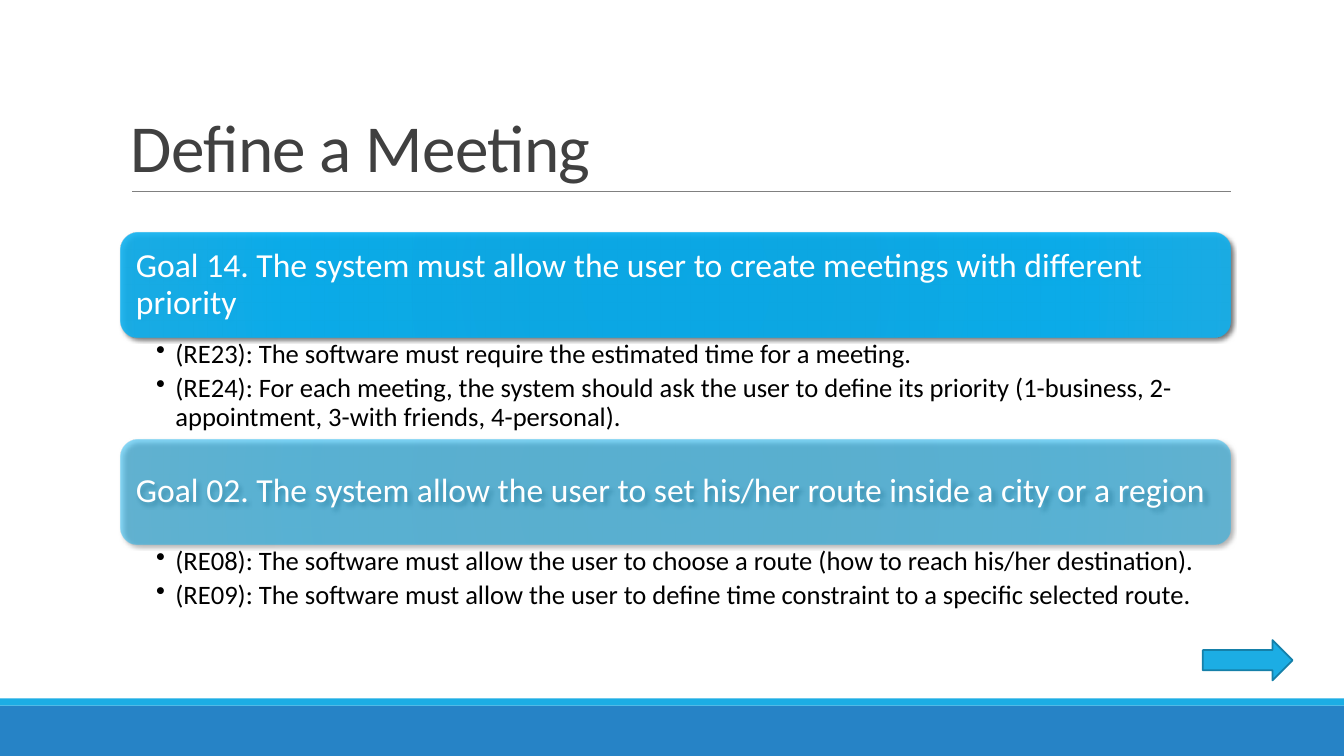
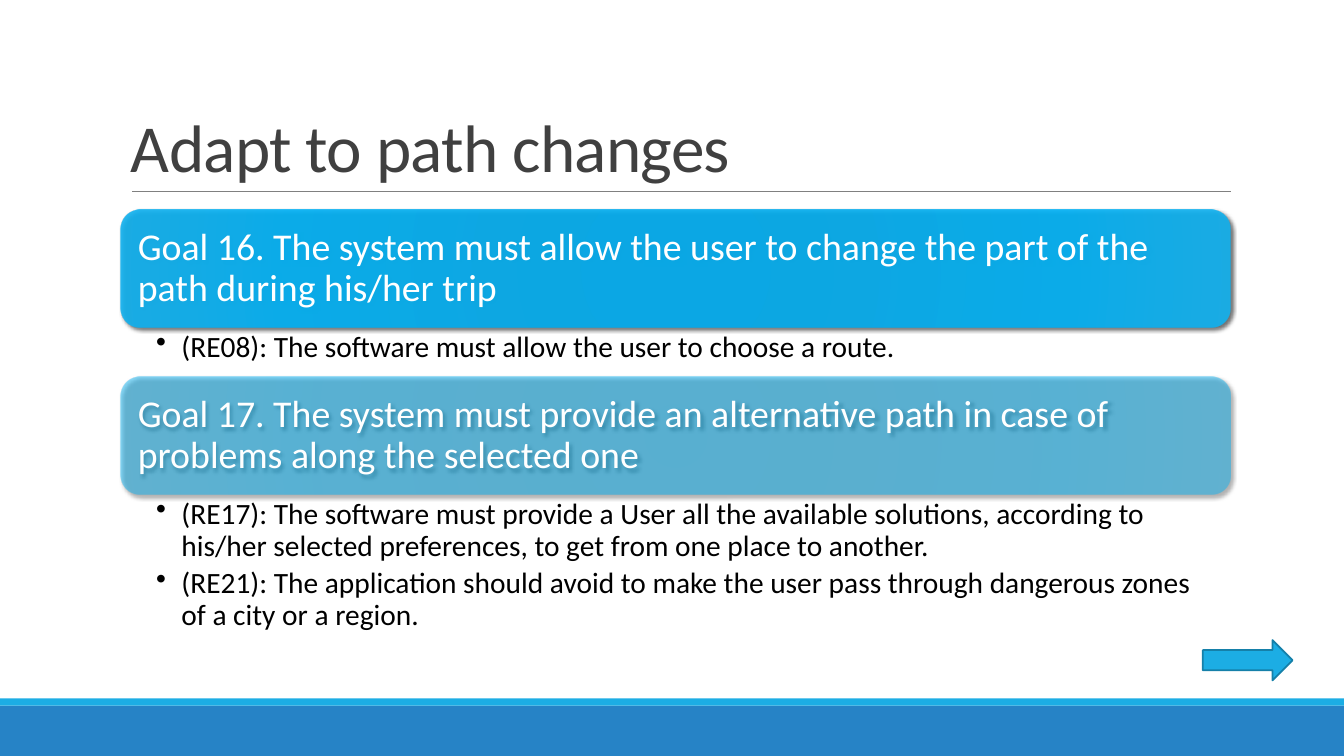
import pptx
import pptx.dml.color
import pptx.enum.shapes
import pptx.enum.text
import pptx.oxml
import pptx.oxml.ns
import pptx.util

Inches = pptx.util.Inches
Pt = pptx.util.Pt
RGBColor = pptx.dml.color.RGBColor
SHAPE = pptx.enum.shapes.MSO_SHAPE
ANCHOR = pptx.enum.text.MSO_ANCHOR
ALIGN = pptx.enum.text.PP_ALIGN
qn = pptx.oxml.ns.qn

# Content: goals with their requirements; "body" is the height of the bullet area
SLIDES = [
    {
        "title": "Define a Meeting",
        "top": 2.31, "bar": 1.04, "goal_size": 24, "goal_inset": 0.1,
        "bullet_size": 19, "indent": 0.19, "insets": (0.35, 0.03, 0.19, 0.03),
        "goals": [
            {
                "text": "Goal 14. The system must allow the user to create meetings with different priority",
                "body": 1.01,
                "requirements": [
                    "(RE23): The software must require the estimated time for a meeting.",
                    "(RE24): For each meeting, the system should ask the user to define its priority "
                    "(1-business, 2-appointment, 3-with friends, 4-personal).",
                ],
            },
            {
                "text": "Goal 02. The system allow the user to set his/her route inside a city or a region",
                "body": 0.72,
                "requirements": [
                    "(RE08): The software must allow the user to choose a route "
                    "(how to reach his/her destination).",
                    "(RE09): The software must allow the user to define time constraint "
                    "to a specific selected route.",
                ],
            },
        ],
    },
    {
        "title": "Adapt to path changes",
        "top": 2.08, "bar": 1.17, "goal_size": 27, "goal_inset": 0.11,
        "bullet_size": 21, "indent": 0.25, "insets": (0.35, 0.04, 0.21, 0.04),
        "goals": [
            {
                "text": "Goal 16. The system must allow the user to change the part of the path "
                        "during his/her trip",
                "body": 0.49,
                "requirements": ["(RE08): The software must allow the user to choose a route."],
            },
            {
                "text": "Goal 17. The system must provide an alternative path in case of problems "
                        "along the selected one",
                "body": 1.44,
                "requirements": [
                    "(RE17): The software must provide a User all the available solutions, according to "
                    "his/her selected preferences, to get from one place to another.",
                    "(RE21): The application should avoid to make the user pass through dangerous zones "
                    "of a city or a region.",
                ],
            },
        ],
    },
]

# Shared style
FONT = "Calibri"
BLUE = RGBColor(0x26, 0x83, 0xC6)
CYAN = RGBColor(0x1C, 0xAD, 0xE4)
ARROW_EDGE = RGBColor(0x15, 0x80, 0xA9)
RULE_GREY = RGBColor(0x80, 0x80, 0x80)
TITLE_GREY = RGBColor(0x40, 0x40, 0x40)
WHITE = RGBColor(0xFF, 0xFF, 0xFF)
BLACK = RGBColor(0x00, 0x00, 0x00)
GRADIENT = [
    (0, RGBColor(0x00, 0xAD, 0xEF)),
    (34, RGBColor(0x03, 0xAD, 0xEE)),
    (70, RGBColor(0x00, 0xB1, 0xF5)),
    (100, RGBColor(0x12, 0xB1, 0xEE)),
]
OPACITIES = (90, 50)  # first and second goal bar
PAGE_WIDTH, PAGE_HEIGHT = 13.33, 7.5
LEFT, WIDTH = 1.2, 11
BANDS = [(7, 0.5, BLUE), (6.93, 0.07, CYAN)]
NAMESPACE = 'xmlns:a="http://schemas.openxmlformats.org/drawingml/2006/main"'


def set_all(target, values):
    for name, value in values.items():
        setattr(target, name, value)


def add_shape(page, kind, left, top, width, height, fill=None):
    shape = page.shapes.add_shape(kind, Inches(left), Inches(top), Inches(width), Inches(height))
    shape.shadow.inherit = False
    shape.line.fill.background()
    if fill is None:
        shape.fill.background()
    else:
        shape.fill.solid()
        shape.fill.fore_color.rgb = fill
    return shape


def add_text_box(page, top, height):
    return page.shapes.add_textbox(Inches(LEFT), Inches(top), Inches(WIDTH), Inches(height))


def write_text(box, texts, size, color, insets, anchor, line_spacing, space_after=0):
    """Fill the box with one paragraph per text."""
    frame = box.text_frame
    sides = ("margin_left", "margin_top", "margin_right", "margin_bottom")
    set_all(frame, dict(zip(sides, map(Inches, insets))))
    set_all(frame, {"word_wrap": True, "vertical_anchor": anchor})
    for number, text in enumerate(texts):
        para = frame.add_paragraph() if number else frame.paragraphs[0]
        set_all(para, {"alignment": ALIGN.LEFT, "line_spacing": line_spacing,
                       "space_after": Pt(space_after)})
        span = para.add_run()
        span.text = text
        set_all(span.font, {"name": FONT, "size": Pt(size)})
        span.font.color.rgb = color
    return frame.paragraphs


def add_glow_fill(bar, opacity):
    """Give a bar its translucent circular gradient and soft shadow."""
    stops = "".join(
        f'<a:gs pos="{place * 1000}"><a:srgbClr val="{color}">'
        f'<a:alpha val="{opacity * 1000}"/></a:srgbClr></a:gs>'
        for place, color in GRADIENT
    )
    gradient = pptx.oxml.parse_xml(
        f'<a:gradFill {NAMESPACE} rotWithShape="1"><a:gsLst>{stops}</a:gsLst><a:path path="circle">'
        '<a:fillToRect l="100000" t="100000" r="100000" b="100000"/></a:path></a:gradFill>'
    )
    shadow = pptx.oxml.parse_xml(
        f'<a:outerShdw {NAMESPACE} blurRad="{Pt(3)}" dist="{Pt(2)}" dir="2700000" algn="br" '
        f'rotWithShape="0"><a:srgbClr val="{BLACK}"><a:alpha val="60000"/></a:srgbClr></a:outerShdw>'
    )
    properties = bar.element.spPr
    properties.replace(properties.find(qn("a:noFill")), gradient)
    properties.find(qn("a:effectLst")).append(shadow)


def add_bullet(para, indent):
    properties = para._p.get_or_add_pPr()
    properties.set("marL", str(Inches(indent)))
    properties.set("indent", str(-Inches(indent)))
    properties.append(pptx.oxml.parse_xml(f'<a:buChar {NAMESPACE} char="•"/>'))


def add_frame(page, title):
    """Bands, title and the rule below it."""
    for top, height, color in BANDS:
        add_shape(page, SHAPE.RECTANGLE, 0, top, PAGE_WIDTH, height, color)
    rule = page.shapes.add_connector(
        pptx.enum.shapes.MSO_CONNECTOR.STRAIGHT,
        Inches(1.31), Inches(1.9), Inches(12.21), Inches(1.9))
    rule.line.color.rgb = RULE_GREY
    rule.line.width = Pt(0.5)
    rule.element.spPr.append(pptx.oxml.parse_xml(f"<a:effectLst {NAMESPACE}/>"))
    heading = write_text(add_text_box(page, 0.31, 1.59), [title], 48, TITLE_GREY,
                         (0.1, 0.05, 0.1, 0.05), ANCHOR.BOTTOM, 0.85)
    heading[0].runs[0].font._element.set("spc", "-50")


def add_goals(page, content):
    """Stack each goal bar directly above its requirements."""
    top = content["top"]
    for goal, opacity in zip(content["goals"], OPACITIES):
        bar = add_shape(page, SHAPE.ROUNDED_RECTANGLE, LEFT, top, WIDTH, content["bar"])
        add_glow_fill(bar, opacity)
        write_text(bar, [goal["text"]], content["goal_size"], WHITE,
                   [content["goal_inset"]] * 4, ANCHOR.MIDDLE, 0.9)
        top += content["bar"]
        size = content["bullet_size"]
        bullets = write_text(add_text_box(page, top, goal["body"]), goal["requirements"], size,
                             BLACK, content["insets"], ANCHOR.TOP, 0.9, size * 0.2)
        for para in bullets:
            add_bullet(para, content["indent"])
        top += goal["body"]


def add_next_arrow(page):
    arrow = add_shape(page, SHAPE.RIGHT_ARROW, 11.93, 6.35, 0.89, 0.4, CYAN)
    arrow.line.color.rgb = ARROW_EDGE
    arrow.line.width = Pt(1.25)


def main():
    deck = pptx.Presentation()
    set_all(deck, {"slide_width": Inches(PAGE_WIDTH), "slide_height": Inches(PAGE_HEIGHT)})
    for content in SLIDES:
        page = deck.slides.add_slide(deck.slide_layouts[6])
        add_frame(page, content["title"])
        add_goals(page, content)
        add_next_arrow(page)
    deck.save("out.pptx")


if __name__ == "__main__":
    main()
